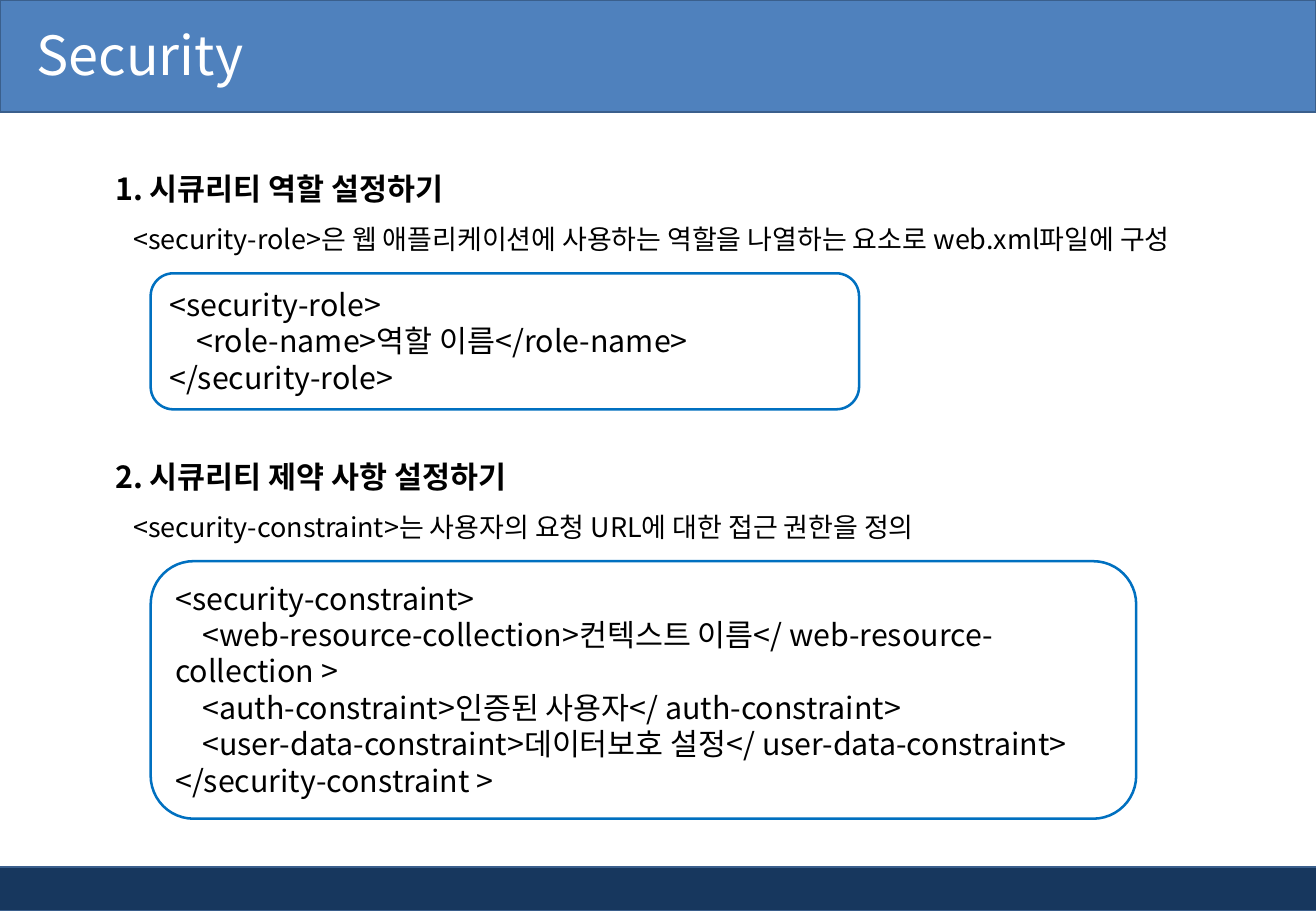
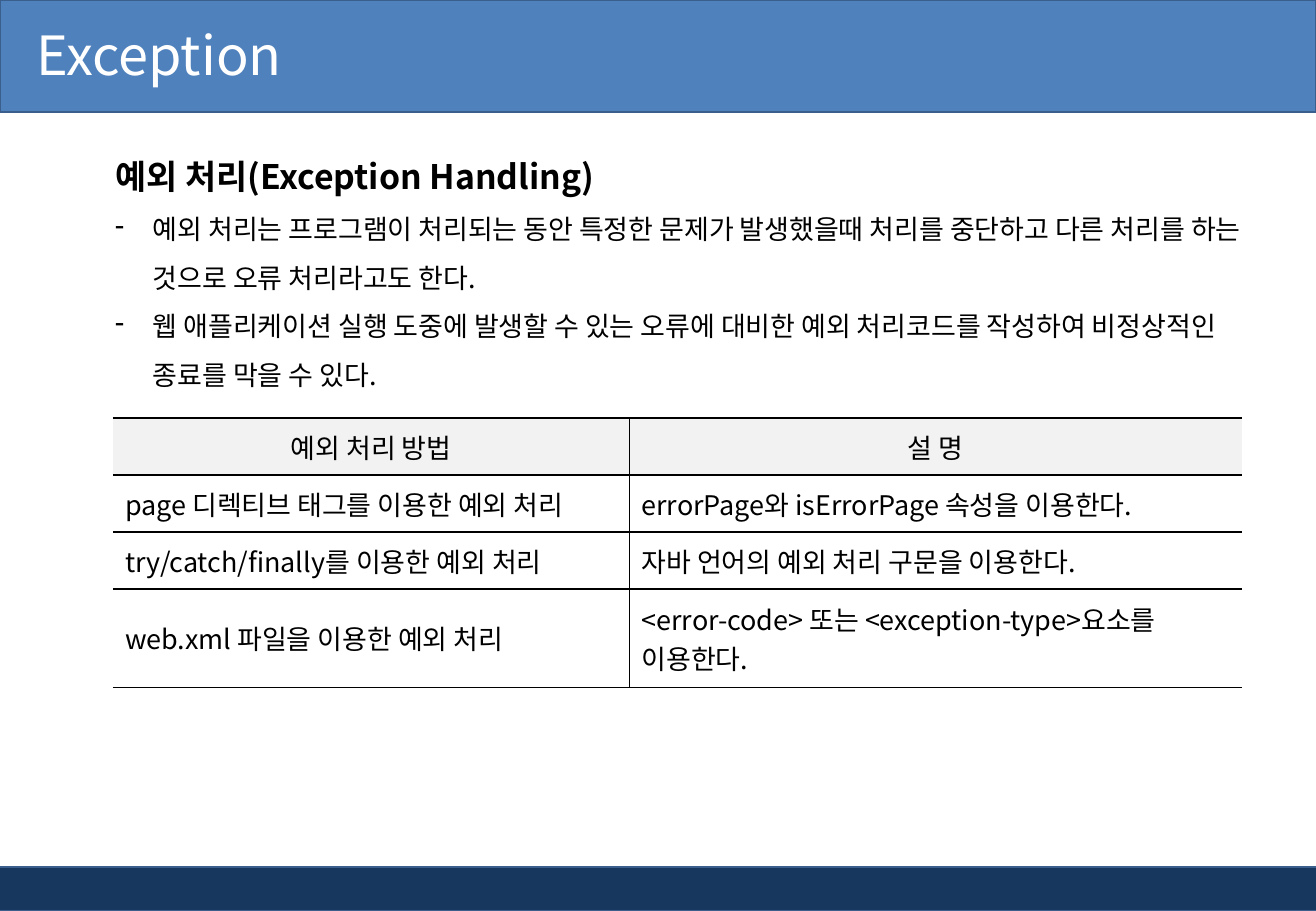
"""Builds two slides on web security settings and exception handling."""
import pptx
import pptx.util
import pptx.dml.color
import pptx.enum.shapes
import pptx.enum.text
import pptx.oxml
import pptx.oxml.ns

Inches, Pt = pptx.util.Inches, pptx.util.Pt
SHAPE = pptx.enum.shapes.MSO_SHAPE
ANCHOR = pptx.enum.text.MSO_ANCHOR
ALIGN = pptx.enum.text.PP_ALIGN

W, H = 10.83, 7.5
LEFT, TEXT_W = 0.85, 9.76
FONT = "Noto Sans CJK KR"
COLORS = {"header": "4F81BD", "footer": "17375E", "edge": "3A5F8C", "box": "0070C0",
          "head_row": "F2F2F2", "white": "FFFFFF", "black": "000000"}
STYLES = {
    "title": {"size": Pt(32), "color": "white"},
    "heading": {"size": Pt(18), "bold": True},
    "topic": {"size": Pt(20), "bold": True},
    "body": {"size": Pt(16)},
    "code": {"size": Pt(18)},
}
BANDS = [("footer", (-0.04, 7.14, 10.88, 0.36)), ("header", (0, 0, W, 0.92))]

SECTIONS = [
    {"top": 1.2, "heading": "1. 시큐리티 역할 설정하기",
     "body": "<security-role>은 웹 애플리케이션에 사용하는 역할을 나열하는 요소로 web.xml파일에 구성",
     "box": (2.25, 5.83, 1.12),
     "code": ["<security-role>",
              "    <role-name>역할 이름</role-name>",
              "</security-role>"]},
    {"top": 3.57, "heading": "2. 시큐리티 제약 사항 설정하기",
     "body": "<security-constraint>는 사용자의 요청 URL에 대한 접근 권한을 정의",
     "box": (4.62, 8.11, 2.12),
     "code": ["<security-constraint>",
              "    <web-resource-collection>컨텍스트 이름</ web-resource-collection >",
              "    <auth-constraint>인증된 사용자</ auth-constraint>",
              "    <user-data-constraint>데이터보호 설정</ user-data-constraint>",
              "</security-constraint >"]},
]
TOPIC = "예외 처리(Exception Handling)"
BULLETS = [
    "예외 처리는 프로그램이 처리되는 동안 특정한 문제가 발생했을때 처리를 중단하고 "
    "다른 처리를 하는 것으로 오류 처리라고도 한다.",
    "웹 애플리케이션 실행 도중에 발생할 수 있는 오류에 대비한 예외 처리코드를 작성하여 "
    "비정상적인 종료를 막을 수 있다.",
]
METHODS = [
    ("예외 처리 방법", "설 명"),
    ("page 디렉티브 태그를 이용한 예외 처리", "errorPage와 isErrorPage 속성을 이용한다."),
    ("try/catch/finally를 이용한 예외 처리", "자바 언어의 예외 처리 구문을 이용한다."),
    ("web.xml 파일을 이용한 예외 처리", "<error-code> 또는 <exception-type>요소를 이용한다."),
]
COL_WIDTHS = [4.25, 5.04]
ROW_HEIGHTS = [0.47, 0.47, 0.47, 0.81]


def rgb(name):
    return pptx.dml.color.RGBColor.from_string(COLORS[name])


def add_xml(parent, tag, inner="", **attrs):
    pairs = "".join(f' {k}="{v}"' for k, v in attrs.items())
    ns = pptx.oxml.ns.nsdecls("a")
    parent.append(pptx.oxml.parse_xml(f"<a:{tag} {ns}{pairs}>{inner}</a:{tag}>"))


def write(tf, items, spacing=None, align=ALIGN.LEFT):
    """Fills a frame with (text, style, left indent, bullet) paragraphs."""
    tf.word_wrap = True
    for i, (text, style, indent, bullet) in enumerate(items):
        p = tf.paragraphs[0] if i == 0 else tf.add_paragraph()
        pPr = p._p.get_or_add_pPr()
        if indent:
            pPr.set("marL", str(Inches(indent)))
        if bullet:
            pPr.set("indent", str(-Inches(indent)))
            add_xml(pPr, "buChar", char=bullet)
        p.alignment = align
        if spacing:
            p.line_spacing = spacing
        r = p.add_run()
        r.text = text
        look = dict(STYLES[style])
        r.font.color.rgb = rgb(look.pop("color", "black"))
        for key, value in {"name": FONT, **look}.items():
            setattr(r.font, key, value)
        add_xml(r._r.get_or_add_rPr(), "ea", typeface=FONT)


def add_shape(s, kind, at, fill, line, width):
    sp = s.shapes.add_shape(kind, *map(Inches, at))
    sp.shadow.inherit = False
    sp.fill.solid()
    sp.fill.fore_color.rgb = rgb(fill)
    sp.line.color.rgb = rgb(line)
    sp.line.width = Pt(width)
    return sp


def add_text(s, at, items, spacing=None):
    tf = s.shapes.add_textbox(*map(Inches, at)).text_frame
    write(tf, items, spacing)
    return tf


def add_slide(prs, title):
    s = prs.slides.add_slide(prs.slide_layouts[6])
    for fill, at in BANDS:
        add_shape(s, SHAPE.RECTANGLE, at, fill, "edge", 1)
    tf = add_text(s, (0, -0.03, 8.74, 0.94), [(title, "title", 0, None)])
    tf.margin_left = Inches(0.3)
    tf.vertical_anchor = ANCHOR.MIDDLE
    return s


def add_section(s, sec):
    add_text(s, (LEFT, sec["top"], TEXT_W, 0.96),
             [(sec["heading"], "heading", 0, None), (sec["body"], "body", 0.15, None)], 1.5)
    top, width, height = sec["box"]
    sp = add_shape(s, SHAPE.ROUNDED_RECTANGLE, (1.24, top, width, height), "white", "box", 1.5)
    sp.text_frame.vertical_anchor = ANCHOR.TOP
    write(sp.text_frame, [(line, "code", 0, None) for line in sec["code"]])


def add_borders(cell, col):
    solid = f'<a:solidFill><a:srgbClr val="{COLORS["black"]}"/></a:solidFill>'
    shown = {"lnL": col > 0, "lnR": col < len(COL_WIDTHS) - 1, "lnT": True, "lnB": True}
    for tag, visible in shown.items():
        add_xml(cell._tc.get_or_add_tcPr(), tag, solid if visible else "<a:noFill/>", w=Pt(1))


def add_methods(s):
    at = (0.93, 3.44, sum(COL_WIDTHS), sum(ROW_HEIGHTS))
    table = s.shapes.add_table(len(METHODS), len(COL_WIDTHS), *map(Inches, at)).table
    for col, width in zip(table.columns, COL_WIDTHS):
        col.width = Inches(width)
    for i, (texts, height) in enumerate(zip(METHODS, ROW_HEIGHTS)):
        table.rows[i].height = Inches(height)
        for j, text in enumerate(texts):
            cell = table.cell(i, j)
            add_borders(cell, j)
            cell.fill.solid()
            cell.fill.fore_color.rgb = rgb("white" if i else "head_row")
            cell.vertical_anchor = ANCHOR.MIDDLE
            write(cell.text_frame, [(text, "body", 0, None)],
                  align=ALIGN.LEFT if i else ALIGN.CENTER)


def main():
    prs = pptx.Presentation()
    prs.slide_width, prs.slide_height = Inches(W), Inches(H)
    s = add_slide(prs, "Security")
    for sec in SECTIONS:
        add_section(s, sec)
    s = add_slide(prs, "Exception")
    add_text(s, (LEFT, 1.07, TEXT_W, 2.22),
             [(TOPIC, "topic", 0, None)] + [(b, "body", 0.31, "-") for b in BULLETS], 1.5)
    add_methods(s)
    prs.save("out.pptx")


if __name__ == "__main__":
    main()
